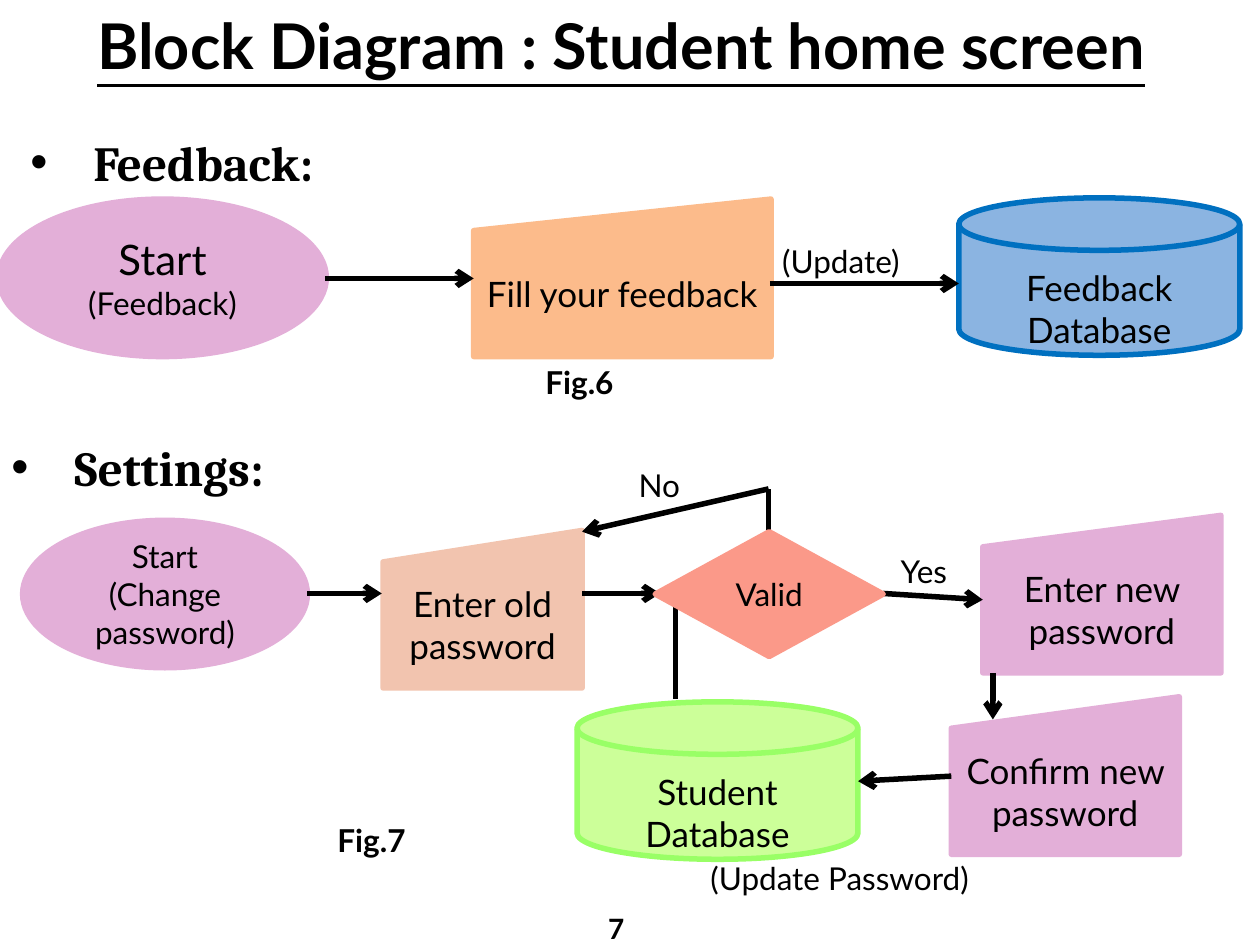
from dataclasses import dataclass

from lxml.etree import SubElement
from pptx import Presentation
from pptx.dml.color import RGBColor
from pptx.enum.shapes import MSO_CONNECTOR, MSO_SHAPE as Shp
from pptx.enum.text import MSO_ANCHOR as Anchor, MSO_AUTO_SIZE as Auto, PP_ALIGN as Al
from pptx.oxml.ns import qn
from pptx.util import Inches, Pt

prs = Presentation()
prs.slide_width, prs.slide_height = Inches(10), Inches(7.5)
# Grid of 100 columns by 75 rows
COL, ROW = prs.slide_width / 100, prs.slide_height / 75

SANS, SERIF = "Lato", "Cambria"
BLACK, PINK = "000000", "E3AFD8"
STROKE = Pt(3.15)
INPUT, DISK = Shp.FLOWCHART_MANUAL_INPUT, Shp.FLOWCHART_MAGNETIC_DISK
DECISION = Shp.FLOWCHART_DECISION


@dataclass
class Box:
    col: float
    row: float
    cols: float
    rows: float

    def emu(self) -> tuple:
        return (round(self.col * COL), round(self.row * ROW),
                round(self.cols * COL), round(self.rows * ROW))


@dataclass
class Node:
    kind: Shp
    box: Box
    fill: str
    lines: list
    size: int = 20
    line: str = ""


@dataclass
class Label:
    box: Box
    text: str
    bold: bool = False


@dataclass
class Link:
    start: tuple
    end: tuple
    arrow: bool = True


def rgb(hex_: str) -> RGBColor:
    return RGBColor.from_string(hex_)


def write(p, text: str, size: float, bold=False, font=SANS):
    r = p.add_run()
    r.text = text
    r.font.name, r.font.size, r.font.bold = font, Pt(size), bold
    r.font.color.rgb = rgb(BLACK)
    return r


def place(sp, box: Box):
    sp.left, sp.top, sp.width, sp.height = box.emu()
    tf = sp.text_frame
    tf.auto_size, tf.vertical_anchor = Auto.NONE, Anchor.TOP
    return tf.paragraphs[0]


def add_heading(sp, box: Box, text: str) -> None:
    p = place(sp, box)
    p.space_before = Pt(0)
    pPr = p._p.get_or_add_pPr()
    pPr.set("marL", str(Inches(0.5)))
    pPr.set("indent", str(-Inches(0.5)))
    SubElement(pPr, qn("a:buChar")).set("char", "•")
    write(p, text, 28, True, SERIF)


def add_node(s, node: Node) -> None:
    sp = s.shapes.add_shape(node.kind, *node.box.emu())
    sp.shadow.inherit = False
    sp.fill.solid()
    sp.fill.fore_color.rgb = rgb(node.fill)
    sp.line.color.rgb = rgb(node.line or node.fill)
    sp.line.width = STROKE
    tf = sp.text_frame
    tf.word_wrap, tf.vertical_anchor = True, Anchor.MIDDLE
    if node.kind == DISK:  # keep the text clear of the lid
        tf.margin_top = Inches(0.35)
    for i, line in enumerate(node.lines):
        p = tf.add_paragraph() if i else tf.paragraphs[0]
        p.alignment = Al.CENTER
        text, size = line if isinstance(line, tuple) else (line, node.size)
        write(p, text, size)


def add_label(s, label: Label):
    sp = s.shapes.add_textbox(*label.box.emu())
    sp.text_frame.word_wrap = True
    write(sp.text_frame.paragraphs[0], label.text, 18, label.bold)


def add_link(s, link: Link) -> None:
    ends = [round(v) for x, y in (link.start, link.end) for v in (x * COL, y * ROW)]
    c = s.shapes.add_connector(MSO_CONNECTOR.STRAIGHT, *ends)
    c.line.color.rgb, c.line.width = rgb(BLACK), STROKE
    if link.arrow:
        SubElement(c.line._get_or_add_ln(), qn("a:tailEnd")).set("type", "arrow")
    SubElement(c._element.spPr, qn("a:effectLst"))


NODES = [
    # Feedback flow
    Node(Shp.OVAL, Box(-0.1, 15.8, 26, 12.5), PINK, [("Start", 24), ("(Feedback)", 18)]),
    Node(INPUT, Box(37.6, 15.8, 23.6, 12.5), "FCBB8B", ["Fill your feedback"]),
    Node(DISK, Box(76.1, 15.7, 22.3, 12.5), "8BB4E1", ["Feedback", "Database"],
         line="0070C0"),
    # Settings flow
    Node(Shp.OVAL, Box(1.8, 41.3, 22.6, 11.7), PINK, ["Start", "(Change password)"], 18),
    Node(INPUT, Box(30.4, 42.1, 15.8, 12.5), "F2C4AF", ["Enter old password"]),
    Node(DISK, Box(45.8, 55.7, 22.3, 12.5), "CCFF99", ["Student", "Database"],
         line="99FF66"),
    Node(INPUT, Box(78, 40.9, 18.9, 12.5), PINK, ["Enter new password"]),
    Node(INPUT, Box(75.5, 55.3, 18.1, 12.5), PINK, ["Confirm new password"]),
]
VALID = Node(DECISION, Box(52, 42.2, 18.1, 9.9), "FB9989", ["Valid"], 18)

LINKS = [
    # Feedback flow
    Link((25.8, 22.1), (37.6, 22.1)),
    Link((61.1, 22.5), (76.1, 22.5)),
    # Settings flow
    Link((24.4, 47.1), (30.3, 47.1)),
    Link((46.2, 47.1), (52.4, 47.1)),
    Link((53.6, 48), (53.6, 55.5), arrow=False),
    Link((70.1, 47.1), (78, 47.6)),
    Link((78.8, 53.4), (78.8, 57.1)),
    Link((75.5, 61.6), (68.1, 62)),
    Link((61, 42.2), (61, 38.8), arrow=False),
    Link((61, 38.8), (46.2, 42.2)),
]

LABELS = [
    Label(Box(61.1, 18.7, 12.9, 4), "(Update)"),
    Label(Box(42.3, 28.3, 7.9, 4), "Fig.6", True),
    Label(Box(55.4, 67.7, 23.6, 4), "(Update Password)"),
    Label(Box(70.5, 43.3, 8.3, 4), "Yes"),
    Label(Box(49.7, 36.5, 8.3, 4), "No"),
    Label(Box(25.8, 64.7, 7.9, 4), "Fig.7", True),
]


def main() -> None:
    s = prs.slides.add_slide(prs.slide_layouts[3])  # title and two bodies
    title, feedback, settings = s.placeholders

    # Title and section headings
    p = place(title, Box(4.8, 0, 89, 7.1))
    p.alignment = Al.CENTER
    write(p, "Block Diagram : Student home screen", 36, True).font.underline = True
    add_heading(feedback, Box(1.4, 10, 25.2, 5.7), "Feedback:")
    add_heading(settings, Box(-0.1, 34.2, 22.6, 5.7), "Settings:")

    # Flow charts, with the decision above the links that meet it
    for node in NODES:
        add_node(s, node)
    for link in LINKS:
        add_link(s, link)
    add_node(s, VALID)
    for label in LABELS:
        add_label(s, label)

    # Page number
    sp = s.shapes.add_textbox(*Box(45.7, 71.6, 6.4, 3.4).emu())
    tf = sp.text_frame
    tf.margin_left = tf.margin_right = tf.margin_top = tf.margin_bottom = 0
    tf.vertical_anchor = Anchor.BOTTOM
    tf.word_wrap = True
    tf.paragraphs[0].alignment = Al.CENTER
    write(tf.paragraphs[0], "7", 16, True)

    prs.save("out.pptx")


if __name__ == "__main__":
    main()
